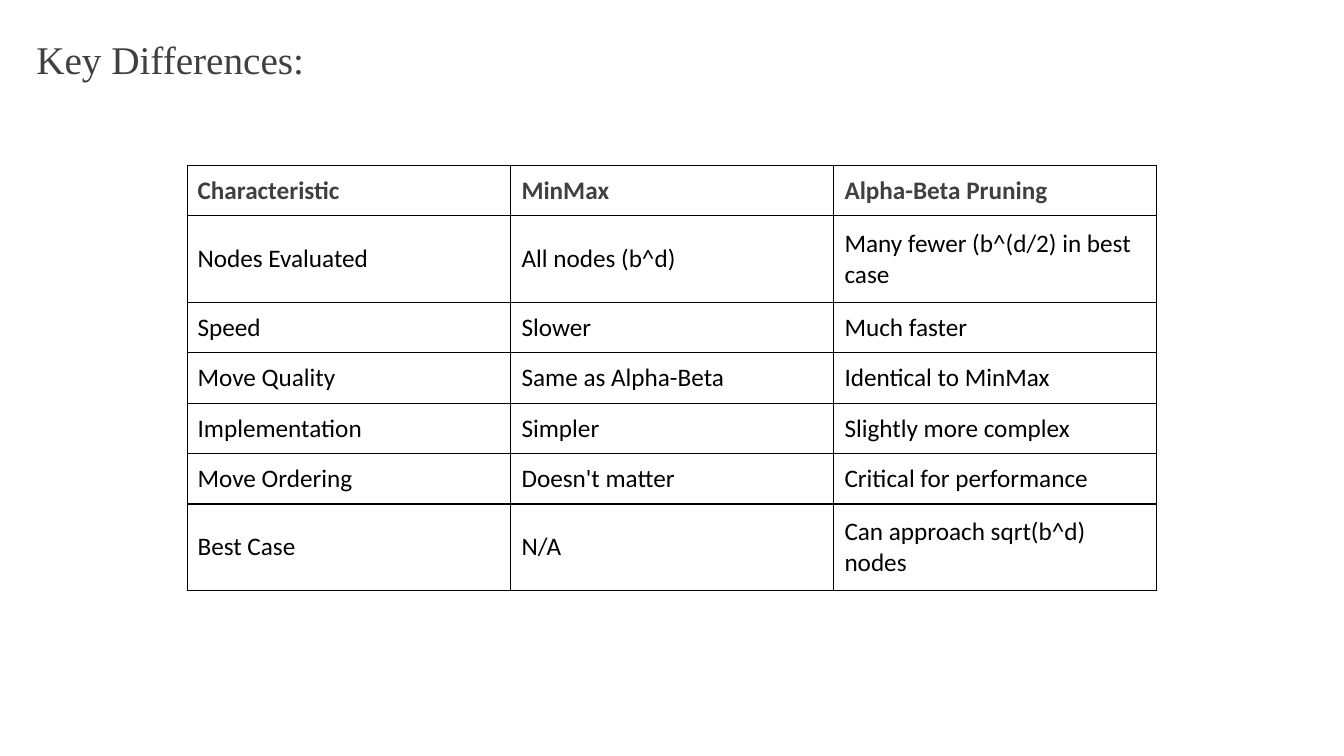
import lxml.etree
import pptx
import pptx.dml.color
import pptx.enum.text
import pptx.oxml.ns
import pptx.util

PX = 9144
GREY = pptx.dml.color.RGBColor(0x40, 0x40, 0x40)
BLACK = pptx.dml.color.RGBColor(0, 0, 0)
ROWS = [
    ("Characteristic", "MinMax", "Alpha-Beta Pruning"),
    ("Nodes Evaluated", "All nodes (b^d)", "Many fewer (b^(d/2) in best case"),
    ("Speed", "Slower", "Much faster"),
    ("Move Quality", "Same as Alpha-Beta", "Identical to MinMax"),
    ("Implementation", "Simpler", "Slightly more complex"),
    ("Move Ordering", "Doesn't matter", "Critical for performance"),
    ("Best Case", "N/A", "Can approach sqrt(b^d) nodes"),
]
TALL = (1, 6)


def style(para, face, size, color, bold):
    for run in para.runs:
        run.font.name = face
        run.font.size = pptx.util.Pt(size)
        run.font.color.rgb = color
        run.font.bold = bold


def border(cell, color):
    qn = pptx.oxml.ns.qn
    props = cell._tc.get_or_add_tcPr()
    for side in ("a:lnL", "a:lnR", "a:lnT", "a:lnB"):
        line = lxml.etree.SubElement(props, qn(side), w=str(pptx.util.Pt(1)))
        fill = lxml.etree.SubElement(line, qn("a:solidFill"))
        lxml.etree.SubElement(fill, qn("a:srgbClr"), val=str(color))


def head(slide, box):
    title = slide.shapes.title
    title.left, title.top, title.width, title.height = (n * PX for n in box)
    frame = title.text_frame
    frame.text = "Key Differences:"
    frame.word_wrap = True
    frame.auto_size = pptx.enum.text.MSO_AUTO_SIZE.NONE
    frame.vertical_anchor = pptx.enum.text.MSO_ANCHOR.TOP
    para = frame.paragraphs[0]
    para.alignment = pptx.enum.text.PP_ALIGN.LEFT
    para.line_spacing = 0.9
    para.space_before = pptx.util.Pt(10)
    style(para, "Times New Roman", 28, GREY, False)


def grid(slide, box):
    left, top, width, height = (n * PX for n in box)
    count = len(ROWS[0])
    table = slide.shapes.add_table(len(ROWS), count, left, top, width, height).table
    table.horz_banding = False
    for col in table.columns:
        col.width = width // count
    for i, texts in enumerate(ROWS):
        table.rows[i].height = (86 if i in TALL else 50) * PX
        for j, text in enumerate(texts):
            cell = table.cell(i, j)
            cell.text = text
            cell.vertical_anchor = pptx.enum.text.MSO_ANCHOR.MIDDLE
            cell.margin_left = (11 if j else 10) * PX
            cell.margin_right = 11 * PX
            cell.margin_top = cell.margin_bottom = 6 * PX
            style(cell.text_frame.paragraphs[0], "Calibri", 18,
                  BLACK if i else GREY, i == 0)
            border(cell, BLACK)
            cell.fill.background()


def main():
    deck = pptx.Presentation()
    deck.slide_width, deck.slide_height = 1333 * PX, 750 * PX
    slide = deck.slides.add_slide(deck.slide_layouts[5])
    head(slide, (26, 35, 1270, 679))
    grid(slide, (186, 164, 961, 422))
    deck.save("out.pptx")


if __name__ == "__main__":
    main()
